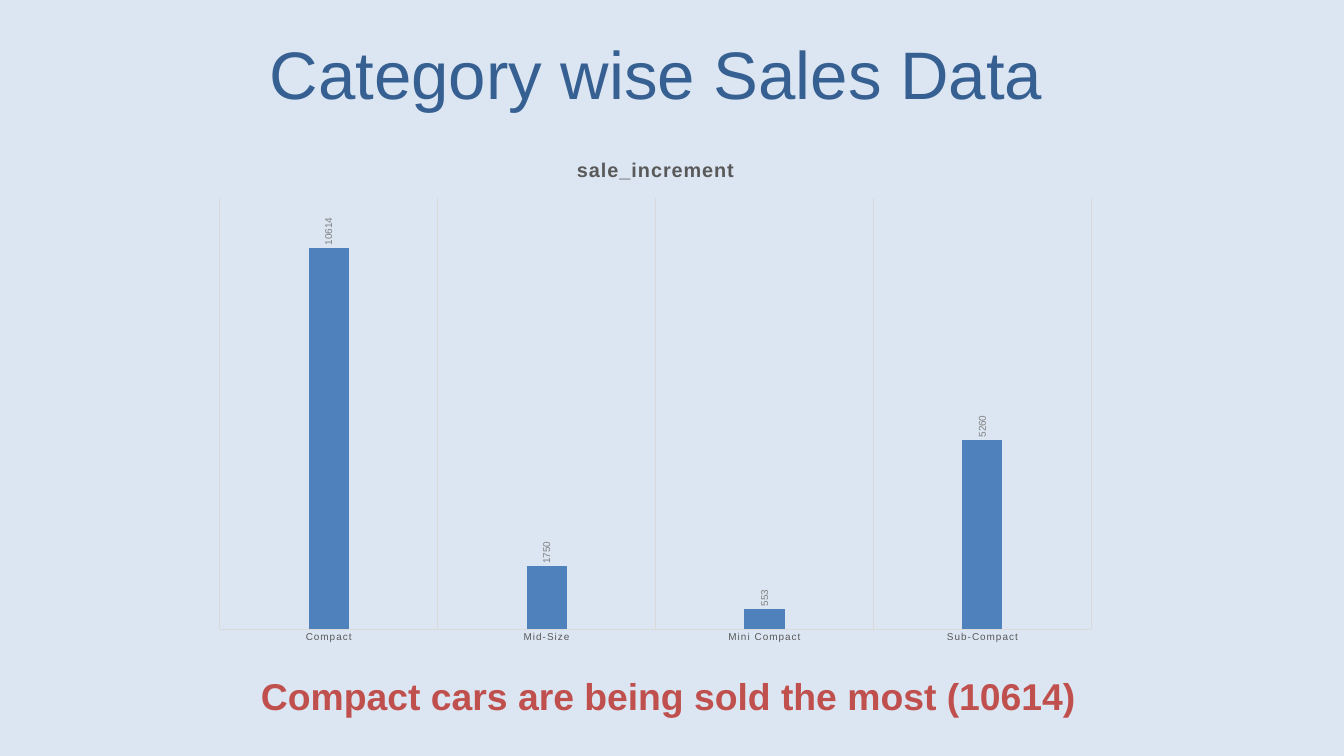
from collections import namedtuple
from dataclasses import dataclass

from pptx import Presentation
from pptx import util as u
from pptx.chart import data as chart_data
from pptx.dml.color import RGBColor
from pptx.enum import chart as ch, text

Box = namedtuple("Box", "left top width height")


@dataclass(frozen=True)
class Theme:
    font: str = "Arial"
    background: str = "DCE6F2"
    heading: str = "376092"
    bar: str = "4F81BD"
    emphasis: str = "C0504D"
    axis_text: str = "595959"
    label_text: str = "808080"
    rule: str = "D9D9D9"
    heading_size: float = 72
    takeaway_size: float = 40
    chart_title_size: float = 21.28
    small_size: float = 10.64
    rule_width: float = 0.75
    letter_spacing: str = "120"  # hundredths of a point


THEME = Theme()
SALES = {"Compact": 10614, "Mid-Size": 1750, "Mini Compact": 553, "Sub-Compact": 5260}
SERIES_NAME = "sale_increment"


def cm_box(*lengths):
    return Box(*(u.Cm(length) for length in lengths))


def apply(target, values):
    for name, value in values.items():
        setattr(target, name, value)


def style_font(font, size, color, bold=False):
    apply(font, {"name": THEME.font, "size": u.Pt(size), "bold": bold})
    font.color.rgb = RGBColor.from_string(color)


def style_rule(line):
    line.width = u.Pt(THEME.rule_width)
    line.color.rgb = RGBColor.from_string(THEME.rule)


def turn_text(owner, rotation):
    """Set the rotation of chart text, in 60000ths of a degree."""
    body = owner.xpath("./c:txPr/a:bodyPr")[0]
    for name, value in {"rot": rotation, "vert": "horz"}.items():
        body.set(name, value)


def write_line(shape, box, wording, size, color, bold=False):
    """Place a text shape in the box and fill it with one centred line."""
    apply(shape, box._asdict())
    frame = shape.text_frame
    frame.text = wording
    apply(frame, {
        "word_wrap": True,
        "auto_size": text.MSO_AUTO_SIZE.NONE,
        "vertical_anchor": text.MSO_ANCHOR.MIDDLE,
    })
    line = frame.paragraphs[0]
    line.alignment = text.PP_ALIGN.CENTER
    style_font(line.runs[0].font, size, color, bold)


def add_heading(slide, box):
    write_line(slide.shapes.title, box, "Category wise Sales Data",
               THEME.heading_size, THEME.heading)


def add_takeaway(slide, box):
    best = max(SALES, key=SALES.get)
    write_line(slide.shapes.add_textbox(*box), box,
               f"{best} cars are being sold the most ({SALES[best]})",
               THEME.takeaway_size, THEME.emphasis, bold=True)


def style_axes(chart):
    categories = chart.category_axis
    apply(categories, {
        "has_major_gridlines": True,
        "major_tick_mark": ch.XL_TICK_MARK.NONE,
        "minor_tick_mark": ch.XL_TICK_MARK.NONE,
    })
    style_rule(categories.format.line)
    style_rule(categories.major_gridlines.format.line)
    style_font(categories.tick_labels.font, THEME.small_size, THEME.axis_text)
    turn_text(categories._element, "-60000000")  # automatic
    for properties in categories._element.txPr.xpath(".//a:defRPr"):
        properties.set("spc", THEME.letter_spacing)

    apply(chart.value_axis, {
        "visible": False,
        "has_major_gridlines": False,
        "minimum_scale": 0,
        "maximum_scale": 12000,
    })


def style_bars(plot):
    apply(plot, {"gap_width": 444, "overlap": -90,
                 "vary_by_categories": False, "has_data_labels": True})
    fill = plot.series[0].format.fill
    fill.solid()
    fill.fore_color.rgb = RGBColor.from_string(THEME.bar)

    labels = plot.data_labels
    apply(labels, {"show_value": True,
                   "position": ch.XL_LABEL_POSITION.OUTSIDE_END})
    style_font(labels.font, THEME.small_size, THEME.label_text)
    turn_text(labels._element, "-5400000")  # upwards along the bars


def add_sales_chart(slide, box):
    sales = chart_data.CategoryChartData(number_format="General")
    sales.categories = list(SALES)
    sales.add_series(SERIES_NAME, list(SALES.values()))
    chart = slide.shapes.add_chart(ch.XL_CHART_TYPE.COLUMN_CLUSTERED, *box, sales).chart
    apply(chart, {"has_legend": False, "has_title": True})
    style_font(chart.font, THEME.small_size, THEME.axis_text)

    chart_title = chart.chart_title
    chart_title.include_in_layout = False
    chart_title.text_frame.text = SERIES_NAME
    title_run = chart_title.text_frame.paragraphs[0].runs[0]
    style_font(title_run.font, THEME.chart_title_size, THEME.axis_text, bold=True)
    title_run._r.get_or_add_rPr().set("spc", THEME.letter_spacing)

    style_axes(chart)
    style_bars(chart.plots[0])


def main():
    deck = Presentation()
    apply(deck, {"slide_width": u.Cm(50.8), "slide_height": u.Cm(28.58)})
    slide = deck.slides.add_slide(deck.slide_layouts.get_by_name("Title Only"))
    backdrop = slide.background.fill
    backdrop.solid()
    backdrop.fore_color.rgb = RGBColor.from_string(THEME.background)

    add_heading(slide, cm_box(2.92, 1.09, 43.76, 3.33))
    add_sales_chart(slide, cm_box(7.62, 5.31, 34.32, 19.38))
    add_takeaway(slide, cm_box(3.86, 25.32, 42.8, 1.96))
    deck.save("out.pptx")


if __name__ == "__main__":
    main()
